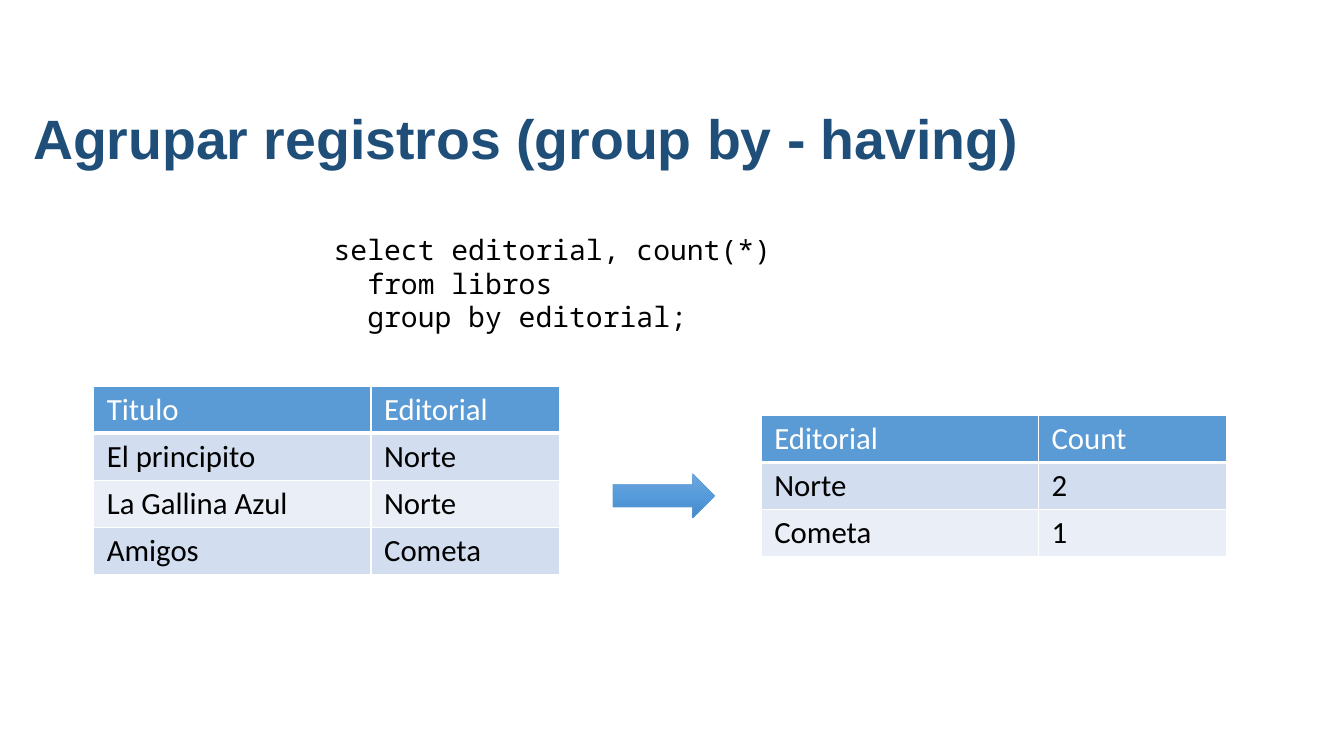
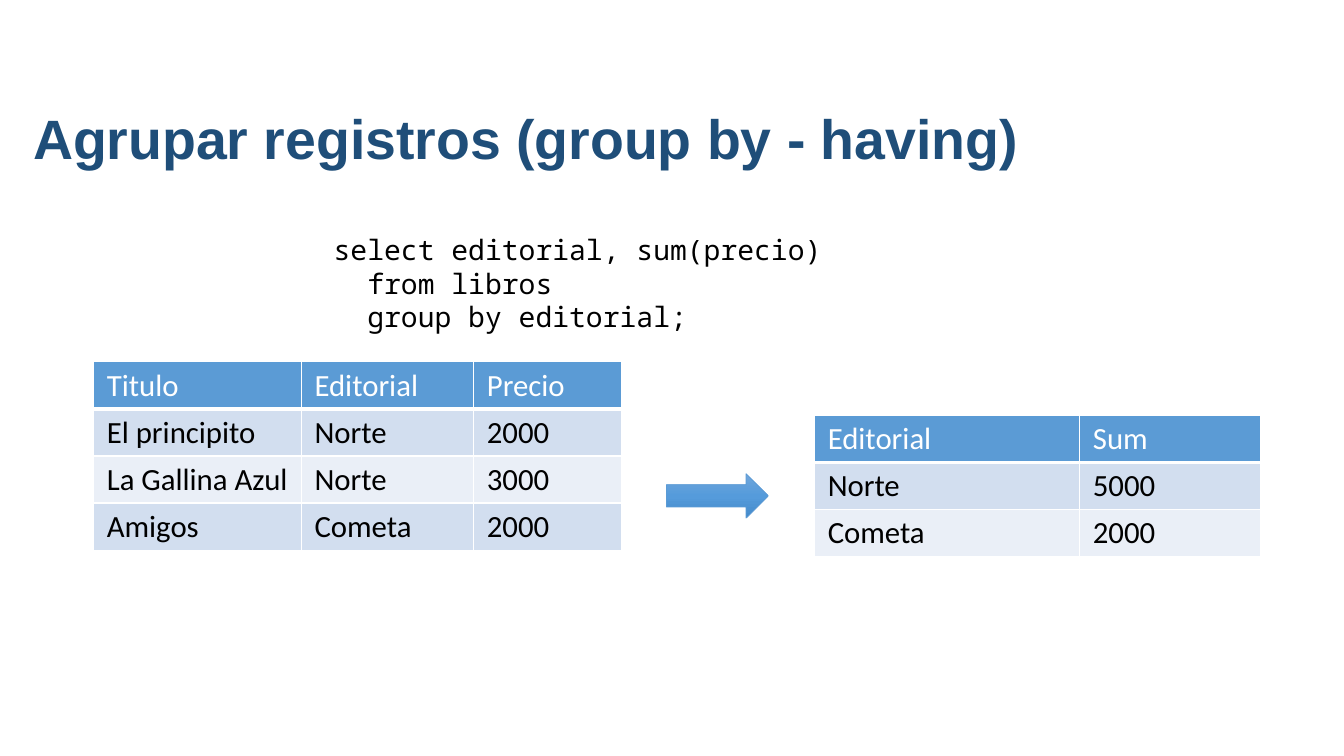
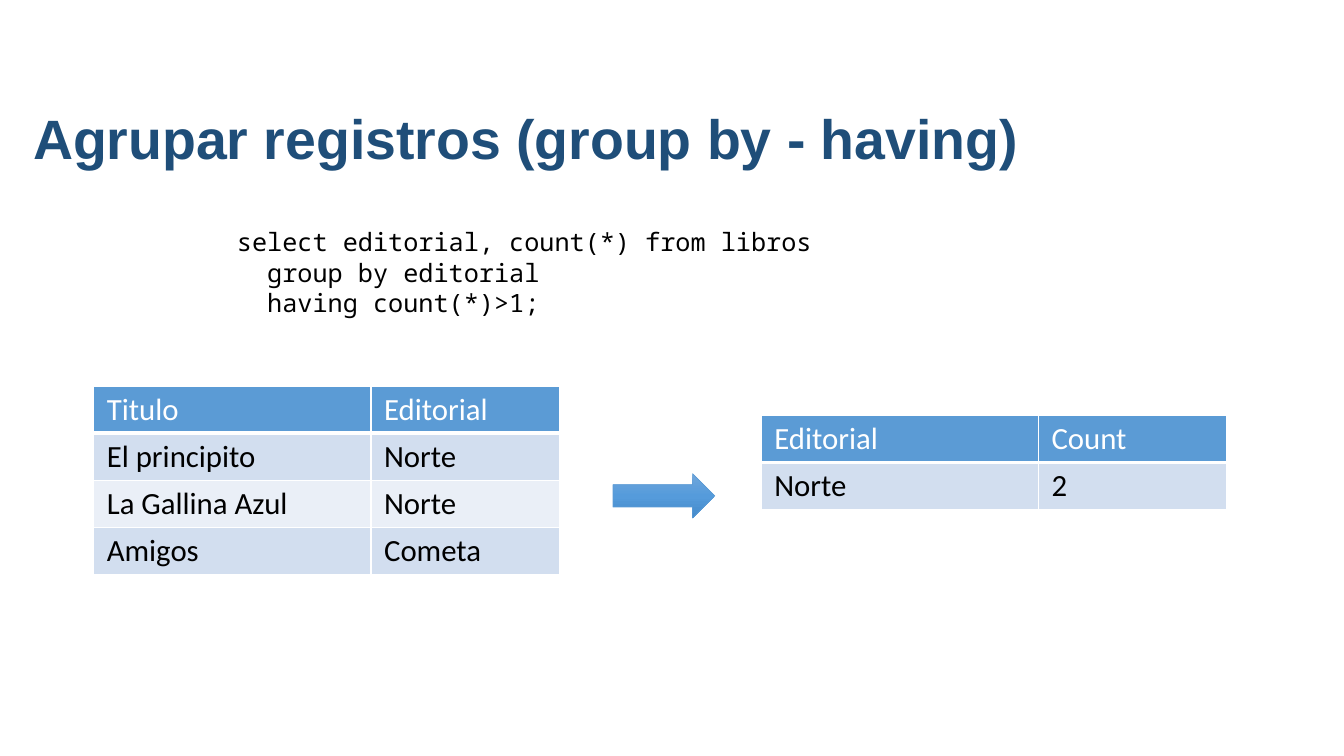
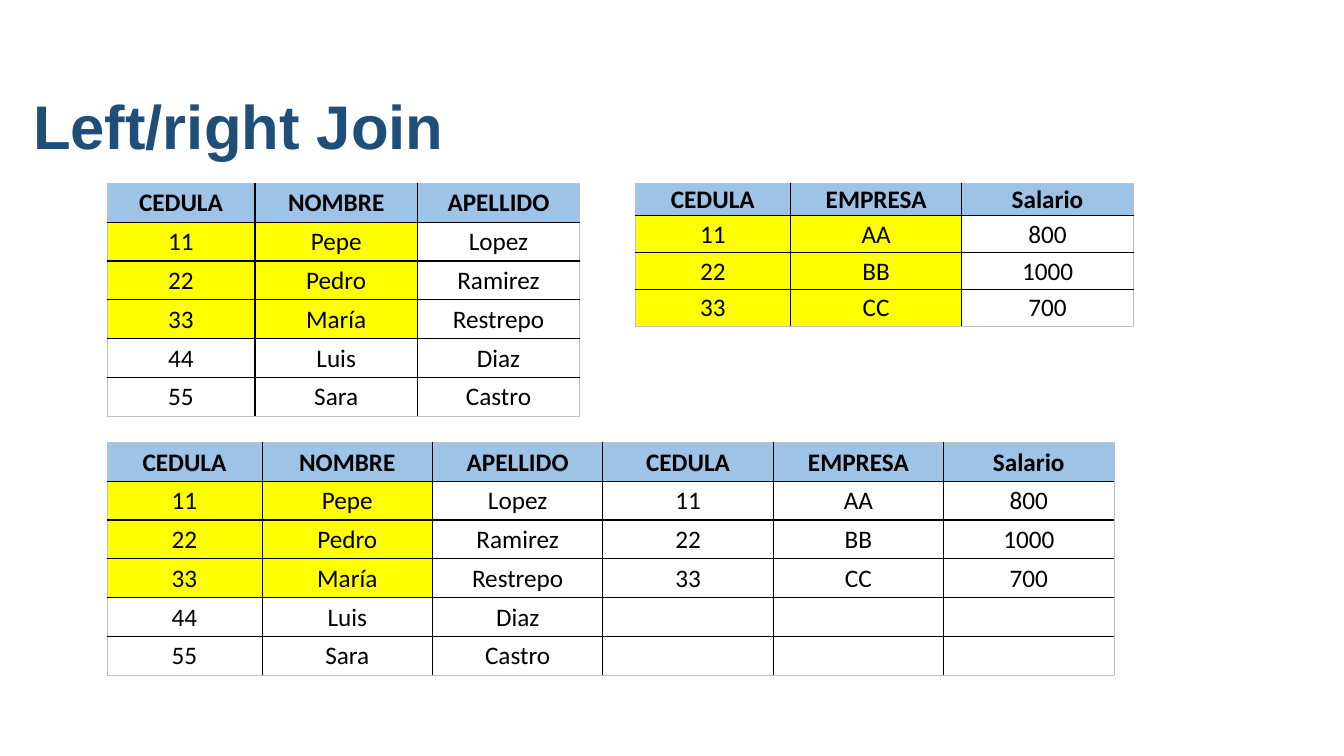
from copy import deepcopy

from lxml import etree
from pptx import Presentation
from pptx import util as u
from pptx.dml.color import RGBColor
from pptx.enum import shapes, text
from pptx.oxml.ns import qn

NAVY = RGBColor(0x1F, 0x4E, 0x79)
BLACK = RGBColor(0, 0, 0)
WHITE = RGBColor(0xFF, 0xFF, 0xFF)
BLUE = RGBColor(0x5B, 0x9B, 0xD5)
BAND_DARK = RGBColor(0xD2, 0xDE, 0xEF)
BAND_LIGHT = RGBColor(0xEA, 0xEF, 0xF7)
SKY = RGBColor(0x9D, 0xC3, 0xE6)
YELLOW = RGBColor(0xFF, 0xFF, 0)
GREY = RGBColor(0xBF, 0xBF, 0xBF)
ARROW_SHADES = (RGBColor(0x71, 0xA6, 0xDB), RGBColor(0x55, 0x9B, 0xDB),
                RGBColor(0x44, 0x8A, 0xCA))

GROUP_TITLE = "Agrupar registros (group by - having)"
BOOKS = [["Titulo", "Editorial", "Precio"],
         ["El principito", "Norte", "2000"],
         ["La Gallina Azul", "Norte", "3000"],
         ["Amigos", "Cometa", "2000"]]
PEOPLE = [["CEDULA", "NOMBRE", "APELLIDO"],
          ["11", "Pepe", "Lopez"],
          ["22", "Pedro", "Ramirez"],
          ["33", "María", "Restrepo"],
          ["44", "Luis", "Diaz"],
          ["55", "Sara", "Castro"]]
JOBS = [["CEDULA", "EMPRESA", "Salario"],
        ["11", "AA", "800"],
        ["22", "BB", "1000"],
        ["33", "CC", "700"]]


def inches(*values):
    return [u.Inches(value) for value in values]


def set_font(paragraph, name, size, color, bold=False):
    font = paragraph.font
    font.name, font.size, font.bold = name, u.Pt(size), bold
    font.color.rgb = color


def add_title(slide, title, top, size):
    frame = slide.shapes.add_textbox(*inches(0.23, top, 12.46, 1.25)).text_frame
    frame.word_wrap = True
    frame.vertical_anchor = text.MSO_ANCHOR.MIDDLE
    frame.text = title
    frame.paragraphs[0].line_spacing = 0.9
    set_font(frame.paragraphs[0], "Arial", size, NAVY, bold=True)


def add_code(slide, left, top, size, lines):
    frame = slide.shapes.add_textbox(*inches(left, top, 8.76, 1.1)).text_frame
    frame.word_wrap = True
    frame.margin_left = u.Inches(0.6)
    frame.text = "\n".join(lines)
    for paragraph in frame.paragraphs:
        set_font(paragraph, "Noto Sans Mono", size, BLACK)


def add_arrow(slide, left):
    arrow = slide.shapes.add_shape(shapes.MSO_SHAPE.RIGHT_ARROW,
                                   *inches(left, 4.7, 1.01, 0.44))
    arrow.shadow.inherit = False
    arrow.line.color.rgb = BLUE
    arrow.line.width = u.Pt(0.5)
    arrow.fill.gradient()
    arrow.fill.gradient_angle = 270
    stop_list = arrow._element.spPr.find(".//" + qn("a:gsLst"))
    stop_list.insert(1, deepcopy(stop_list[0]))
    for i, (stop, shade) in enumerate(zip(arrow.fill.gradient_stops, ARROW_SHADES)):
        stop.position = i / 2
        stop.color.rgb = shade


def set_borders(cell, borders):
    """Draw the left, right, top and bottom borders, each a (colour, points) pair."""
    properties = cell._tc.get_or_add_tcPr()
    for side, (color, width) in zip("LRTB", borders):
        line = etree.SubElement(properties, qn("a:ln" + side), w=str(u.Pt(width)))
        fill = etree.SubElement(line, qn("a:solidFill"))
        etree.SubElement(fill, qn("a:srgbClr"), val=str(color))


def add_table(slide, left, top, widths, heights, rows, style_cell):
    """Fill a plain table; style_cell(cell, row, column) sets the look of each cell."""
    table = slide.shapes.add_table(
        len(rows), len(widths),
        *inches(left, top, sum(widths), sum(heights))).table
    table.first_row = table.horz_banding = False
    for column, width in zip(table.columns, widths):
        column.width = u.Inches(width)
    for row, height in zip(table.rows, heights):
        row.height = u.Inches(height)
    for r, values in enumerate(rows):
        for c, value in enumerate(values):
            cell = table.cell(r, c)
            cell.text = value
            style_cell(cell, r, c)


def add_banded_table(slide, left, top, widths, rows):
    def style_cell(cell, r, c):
        set_borders(cell, [(WHITE, 1)] * 3 + [(WHITE, 1 if r else 3)])
        cell.fill.solid()
        cell.fill.fore_color.rgb = (
            BLUE if r == 0 else BAND_DARK if r % 2 else BAND_LIGHT)
        cell.margin_left = cell.margin_right = u.Inches(0.13)
        cell.margin_top = cell.margin_bottom = u.Inches(0.05)
        set_font(cell.text_frame.paragraphs[0], "Calibri", 22, BLACK if r else WHITE)

    add_table(slide, left, top, widths, [0.41] * len(rows), rows, style_cell)


def add_join_table(slide, left, top, widths, heights, rows):
    """Ruled table whose first two columns are marked where both sources match."""
    def style_cell(cell, r, c):
        edges = (c == 0, c == len(widths) - 1, r == 0, r == len(rows) - 1)
        set_borders(cell, [(GREY, 0.5) if edge else (BLACK, 1) for edge in edges])
        if r <= 3 and (r == 0 or c < 2):
            cell.fill.solid()
            cell.fill.fore_color.rgb = YELLOW if r else SKY
        else:
            cell.fill.background()
        cell.margin_left = cell.margin_right = cell.margin_top = u.Inches(0.01)
        cell.margin_bottom = 0
        cell.vertical_anchor = text.MSO_ANCHOR.MIDDLE
        paragraph = cell.text_frame.paragraphs[0]
        paragraph.alignment = text.PP_ALIGN.CENTER
        set_font(paragraph, "Calibri", 18, BLACK, bold=r == 0)

    add_table(slide, left, top, widths, heights, rows, style_cell)


def add_query(slide, code, books, result, arrow_left):
    """Show a query, the table it reads, an arrow and the table it returns.

    code holds the arguments of add_code; books and result those of a table.
    """
    add_title(slide, GROUP_TITLE, 0.78, 39.6)
    add_code(slide, *code)
    add_banded_table(slide, 0.93, *books)
    add_banded_table(slide, arrow_left + 1.47, 4.12, *result)
    add_arrow(slide, arrow_left)


def add_join(slide):
    add_title(slide, "Left/right Join", 0.66, 44)
    person_rows = [0.385] * len(PEOPLE)
    add_join_table(slide, 1.06, 1.82, [1.47, 1.61, 1.61], person_rows, PEOPLE)
    add_join_table(slide, 6.3, 1.82, [1.54, 1.7, 1.7], [0.32] + [0.365] * 3, JOBS)
    jobs = JOBS + [[""] * 3] * (len(PEOPLE) - len(JOBS))
    joined = [person + job for person, job in zip(PEOPLE, jobs)]
    add_join_table(slide, 1.06, 4.39, [1.54] + [1.69] * 5, person_rows, joined)


def main():
    deck = Presentation()
    deck.slide_width, deck.slide_height = inches(13.33, 7.5)
    count_slide, sum_slide, having_slide, join_slide = (
        deck.slides.add_slide(deck.slide_layouts[6]) for _ in range(4))

    pair = [2.75, 1.87]
    titles = (3.83, pair, [row[:2] for row in BOOKS])
    counts = [["Editorial", "Count"], ["Norte", "2"], ["Cometa", "1"]]
    sums = [["Editorial", "Sum"], ["Norte", "5000"], ["Cometa", "2000"]]
    grouping = ["  from libros", "  group by editorial;"]

    add_query(count_slide,
              (2.71, 2.26, 20, ["select editorial, count(*)"] + grouping),
              titles, (pair, counts), 6.08)
    add_query(sum_slide,
              (2.71, 2.26, 20, ["select editorial, sum(precio)"] + grouping),
              (3.59, [2.06, 1.71, 1.47], BOOKS), ([2.63, 1.79], sums), 6.61)
    add_query(having_slide,
              (1.75, 2.2, 18, ["select editorial, count(*) from libros",
                               "  group by editorial", "  having count(*)>1;"]),
              titles, (pair, counts[:2]), 6.08)
    add_join(join_slide)
    deck.save("out.pptx")


if __name__ == "__main__":
    main()
